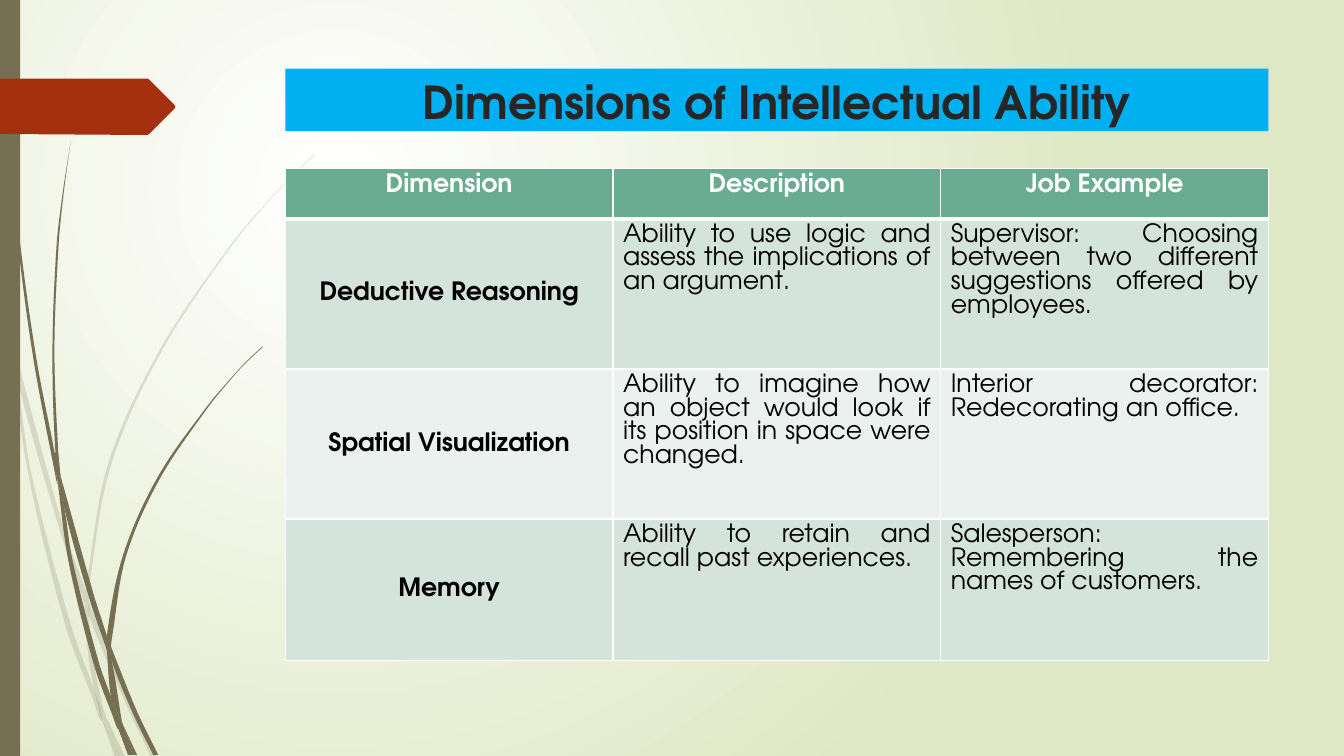
from math import dist

from lxml.etree import SubElement
from pptx import Presentation
from pptx.dml.color import RGBColor
from pptx.enum.shapes import MSO_SHAPE
from pptx.enum.text import MSO_ANCHOR, PP_ALIGN
from pptx.oxml.ns import qn
from pptx.util import Inches, Pt

FONT = "TeX Gyre Adventor"
COLORS = {
    "glow": "FFFFFF", "edge": "DFE8C4", "stem": "766F54", "arrow": "A53010",
    "banner": "00B0F0", "title": "262626", "header": "6AAC91",
    "dark band": "D4E3DC", "light band": "EBF1EE", "white": "FFFFFF", "text": "000000",
}

# Each blade of grass has an outer edge and a returning edge, in inches
FAINT_BLADES = [
    ([(0.11, 3.5), (0.09, 3.22), (0, 2.82)], [(0, 2.99), (0.1, 3.44), (0.11, 3.5)]),
    ([(0.14, 3.45), (0.17, 3.76), (0.58, 5.22), (0.84, 5.99)],
     [(0.85, 5.86), (0.62, 5.2), (0.14, 3.45)]),
    ([(0.88, 5.96), (0.88, 6.1), (1.23, 6.94), (1.5, 7.51)],
     [(1.55, 7.51), (1.27, 6.92), (0.92, 6.07), (0.88, 5.96)]),
    ([(1.19, 7.51), (1.24, 7.51)], [(1.05, 7.11), (1.19, 7.51)]),
    ([(0.93, 6.83), (0.7, 6.19), (0.31, 4.69), (0.17, 3.76), (0.11, 3.5)],
     [(0.11, 3.5), (0.28, 4.7), (0.65, 6.21), (0.92, 6.93), (1.01, 7.14), (0.93, 6.83)]),
    ([(0.84, 5.99), (0.87, 6.46), (0.93, 6.83), (0.96, 6.92), (1.05, 7.11)],
     [(1.05, 7.11), (1.03, 7.06), (0.91, 6.46), (0.88, 6.1), (0.84, 5.99)]),
    ([(0.88, 5.96), (0.88, 5.84), (1.1, 4.62), (1.6, 3.49), (2.29, 2.45), (2.68, 1.98),
      (2.9, 1.75), (3.12, 1.54)],
     [(3.12, 1.53), (2.89, 1.75), (2.68, 1.97), (2.28, 2.44), (1.58, 3.48), (1.07, 4.61),
      (0.85, 5.84), (0.85, 5.86)]),
    ([(1.01, 7.14), (1.14, 7.51)], [(1.19, 7.51), (1.01, 7.14)]),
    ([(0.88, 6.1), (0.88, 5.96)], [(0.85, 5.86), (0.84, 5.99), (0.88, 6.08)]),
    ([(0.93, 6.83), (0.99, 7.07), (1.01, 7.14), (1.19, 7.51)],
     [(1.19, 7.51), (1.05, 7.11), (0.96, 6.92), (0.93, 6.83)]),
]
DARK_BLADES = [
    ([(0.03, 0), (0.04, 0.48), (0.07, 1.1), (0.17, 2.33), (0.33, 3.55), (0.56, 4.77), (0.57, 4.81)],
     [(0.55, 4.57), (0.55, 4.53), (0.36, 3.55), (0.19, 2.32), (0.08, 1.09), (0.05, 0.48), (0.04, 0)]),
    ([(0.6, 4.72), (0.64, 5.05), (0.88, 5.92), (1.06, 6.45)],
     [(1.06, 6.33), (1.06, 6.31), (0.93, 5.9), (0.6, 4.72)]),
    ([(1.1, 6.41), (1.11, 6.56), (1.32, 7.08), (1.52, 7.49)],
     [(1.57, 7.49), (1.36, 7.06), (1.13, 6.49), (1.1, 6.41)]),
    ([(1.1, 6.91), (0.98, 6.57), (0.72, 5.56), (0.64, 5.05), (0.57, 4.77)],
     [(0.57, 4.77), (0.68, 5.57), (0.93, 6.59), (1.11, 7.08), (1.17, 7.22), (1.1, 6.91)]),
    ([(0.6, 4.72), (0.58, 4.53), (0.54, 3.49), (0.58, 2.45), (0.63, 1.93), (0.7, 1.41)],
     [(0.7, 1.41), (0.62, 1.93), (0.56, 2.45), (0.52, 3.49), (0.55, 4.49), (0.6, 4.72)]),
    ([(1.33, 7.49), (1.36, 7.49)], [(1.22, 7.19), (1.33, 7.49)]),
    ([(0.57, 4.77), (0.64, 5.05)], [(0.6, 4.72), (0.55, 4.49), (0.57, 4.77)]),
    ([(1.11, 6.33), (1.25, 5.52), (1.58, 4.76), (2.05, 4.06), (2.31, 3.74), (2.45, 3.59), (2.61, 3.44)],
     [(2.6, 3.44), (2.45, 3.58), (2.31, 3.73), (2.04, 4.05), (1.56, 4.74), (1.22, 5.51),
      (1.06, 6.31), (1.1, 6.41)]),
    ([(1.17, 7.22), (1.27, 7.49)], [(1.31, 7.49), (1.17, 7.22)]),
    ([(1.06, 6.45), (1.1, 6.91), (1.16, 7.06), (1.22, 7.19)],
     [(1.22, 7.19), (1.21, 7.16), (1.11, 6.56), (1.06, 6.45)]),
    ([(1.06, 6.45), (1.11, 6.56)], [(1.1, 6.41), (1.06, 6.31), (1.06, 6.45)]),
    ([(1.1, 6.91), (1.16, 7.17), (1.17, 7.22), (1.3, 7.49)],
     [(1.33, 7.49), (1.22, 7.19), (1.16, 7.06), (1.1, 6.91)]),
]
ARROW = [(0, 0), (1.46, 0), (1.48, 0.01), (1.73, 0.26), (1.74, 0.28), (1.73, 0.3),
         (1.48, 0.55), (1.46, 0.56), (0, 0.55)]

ROWS = [
    ("Dimension", "Description", "Job Example"),
    ("Deductive Reasoning",
     "Ability to use logic and assess the implications of an argument.",
     "Supervisor: Choosing between two different suggestions offered by employees."),
    ("Spatial Visualization",
     "Ability to imagine how an object would look if its position in space were changed.",
     "Interior decorator: Redecorating an office."),
    ("Memory",
     "Ability to retain and recall past experiences.",
     "Salesperson: Remembering the names of customers."),
]
ROW_HEIGHTS = [0.5, 1.49, 1.49, 1.4]


def color(name):
    return RGBColor.from_string(COLORS[name])


def paint(shape, name, opacity=100):
    shape.shadow.inherit = False
    shape.line.fill.background()
    shape.fill.solid()
    shape.fill.fore_color.rgb = color(name)
    if opacity < 100:
        tint = shape.element.spPr.find(qn("a:solidFill"))[0]
        SubElement(tint, qn("a:alpha"), val=str(opacity * 1000))


def bend(anchors):
    """Two handles and an end point for each stretch of a smooth edge."""
    padded = [anchors[0], *anchors, anchors[-1]]
    points = []
    for a, b, c, d in zip(padded, padded[1:], padded[2:], padded[3:]):
        reach = dist(b, c) / 3
        leave, arrive = reach / dist(a, c), reach / dist(b, d)
        points += [tuple(q + leave * (r - p) for p, q, r in zip(a, b, c)),
                   tuple(r - arrive * (s - q) for q, r, s in zip(b, c, d)), c]
    return points


def add_outline(shapes, points, left, top):
    corners = [(Inches(left + x), Inches(top + y)) for x, y in points]
    builder = shapes.build_freeform(*corners[0])
    builder.add_line_segments(corners[1:], close=True)
    return builder.convert_to_shape()


def add_blade(shapes, outer, inner, left, top):
    joint = [] if outer[-1] == inner[0] else bend([outer[-1], inner[0]])
    blade = add_outline(shapes, [outer[0], *bend(outer), *joint, *bend(inner)], left, top)
    # Every three straight steps become one curve
    steps = list(blade.element.iter(qn("a:lnTo")))
    for first, second, last in zip(steps[::3], steps[1::3], steps[2::3]):
        curve = SubElement(first.getparent(), qn("a:cubicBezTo"))
        first.addprevious(curve)
        for step in (first, second, last):
            curve.append(step[0])
            step.getparent().remove(step)
    return blade


def add_backdrop(page):
    fill = page.background.fill
    fill.gradient()
    for stop, name in zip(fill.gradient_stops, ("glow", "edge")):
        stop.color.rgb = color(name)
    gradient = next(page.element.iter(qn("a:gradFill")))
    gradient.remove(gradient.find(qn("a:lin")))
    circle = SubElement(gradient, qn("a:path"), path="circle")
    SubElement(circle, qn("a:fillToRect"), l="50000", t="50000", r="100000", b="100000")


def add_decoration(page, left, top, height):
    # Grass
    for blades, opacity in ((FAINT_BLADES, 20), (DARK_BLADES, 100)):
        group = page.shapes.add_group_shape()
        for outer, inner in blades:
            paint(add_blade(group.shapes, outer, inner, left, top), "stem", opacity)
    # Side bar and arrow
    bar = page.shapes.add_shape(
        MSO_SHAPE.RECTANGLE, Inches(left), Inches(top), Inches(0.2), Inches(height))
    paint(bar, "stem")
    paint(add_outline(page.shapes, ARROW, left, top + 0.78), "arrow")


def write(para, text, size, name, bold, align):
    para.alignment = align
    span = para.add_run()
    span.text = text
    span.font.name, span.font.size, span.font.bold = FONT, Pt(size), bold
    span.font.color.rgb = color(name)


def add_title(page, left, top, width, height):
    title = page.shapes.title
    title.left, title.top = Inches(left), Inches(top)
    title.width, title.height = Inches(width), Inches(height)
    title.fill.solid()
    title.fill.fore_color.rgb = color("banner")
    title.text_frame.vertical_anchor = MSO_ANCHOR.MIDDLE
    title.text_frame.margin_top = Inches(0.09)
    write(title.text_frame.paragraphs[0], "Dimensions of Intellectual Ability",
          32.4, "title", True, PP_ALIGN.CENTER)


def add_borders(cell, widths):
    properties = cell._tc.get_or_add_tcPr()
    for side, width in widths.items():
        line = SubElement(properties, qn(f"a:ln{side}"), w=str(Pt(width)))
        solid = SubElement(line, qn("a:solidFill"))
        SubElement(solid, qn("a:srgbClr"), val=COLORS["white"])


def add_ability_table(page, left, top, width):
    table = page.shapes.add_table(
        len(ROWS), len(ROWS[0]), Inches(left), Inches(top),
        Inches(width), Inches(sum(ROW_HEIGHTS))).table
    for column in table.columns:
        column.width = Inches(width / len(ROWS[0]))
    for i, texts in enumerate(ROWS):
        table.rows[i].height = Inches(ROW_HEIGHTS[i])
        band = "header" if i == 0 else "dark band" if i % 2 else "light band"
        for j, text in enumerate(texts):
            cell = table.cell(i, j)
            add_borders(cell, {"L": 1, "R": 1, "T": 3 if i == 1 else 1, "B": 3 if i == 0 else 1})
            cell.fill.solid()
            cell.fill.fore_color.rgb = color(band)
            heading = i == 0 or j == 0
            cell.vertical_anchor = MSO_ANCHOR.MIDDLE if i and j == 0 else MSO_ANCHOR.TOP
            para = cell.text_frame.paragraphs[0]
            para.line_spacing = Pt(16.8)
            write(para, text, 18, "text" if i else "white", heading,
                  PP_ALIGN.CENTER if heading else PP_ALIGN.JUSTIFY)


def main():
    deck = Presentation()
    deck.slide_width, deck.slide_height = Inches(13.33), Inches(7.5)
    page = deck.slides.add_slide(deck.slide_layouts[5])
    add_backdrop(page)
    add_decoration(page, 0, 0, 7.5)
    add_title(page, 2.83, 0.68, 9.75, 0.62)
    add_ability_table(page, 2.83, 1.67, 9.75)
    deck.save("out.pptx")


if __name__ == "__main__":
    main()
